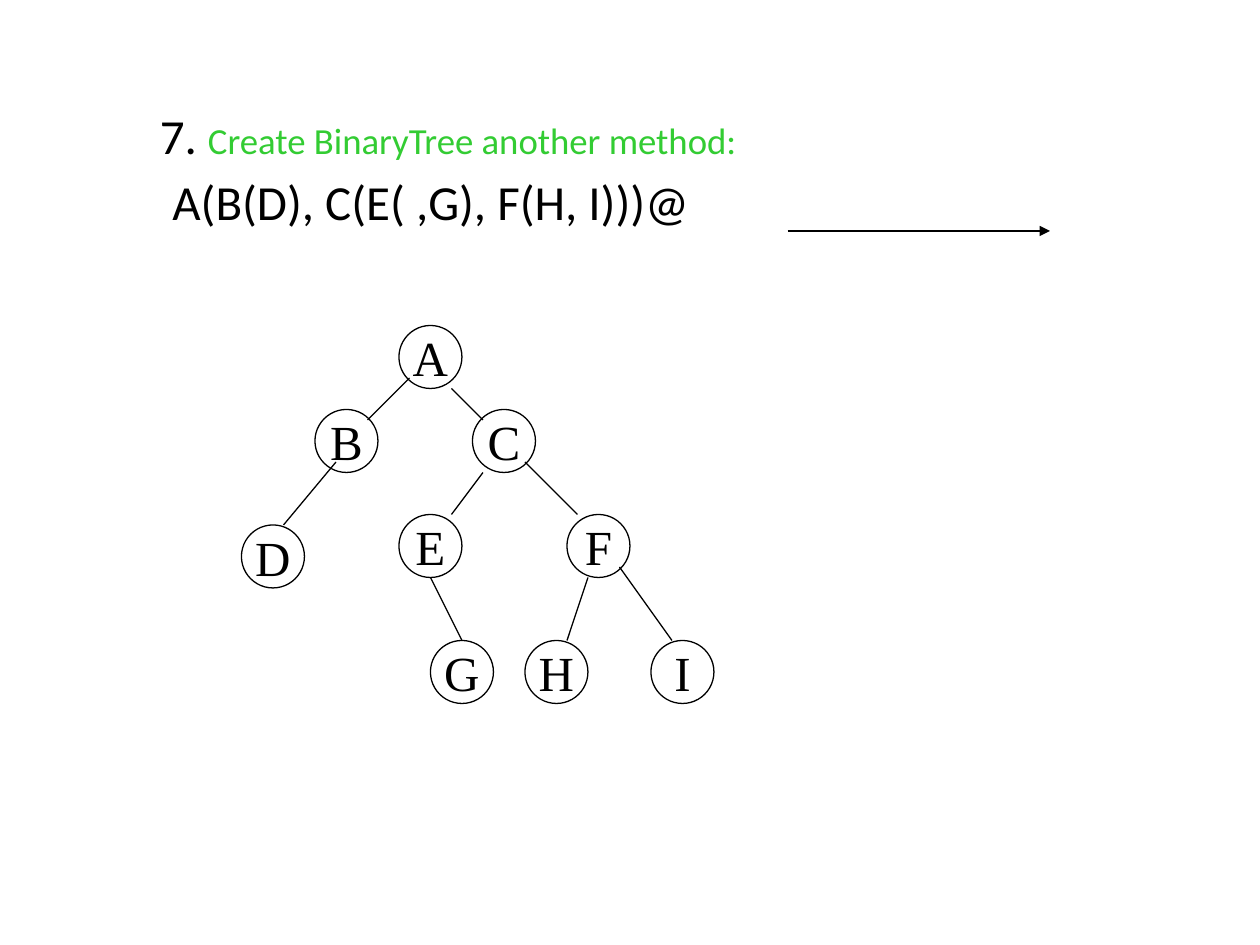
from lxml import etree
from pptx import Presentation
from pptx.dml.color import RGBColor
from pptx.enum.shapes import MSO_CONNECTOR as CONNECTOR, MSO_SHAPE as SHAPE
from pptx.enum.text import MSO_ANCHOR as ANCHOR, PP_ALIGN as ALIGN
from pptx.oxml.ns import qn
from pptx.util import Inches, Pt

BLACK = RGBColor(0x00, 0x00, 0x00)
GREEN = RGBColor(0x33, 0xCC, 0x33)
WHITE = RGBColor(0xFF, 0xFF, 0xFF)

UNIT = 1 / 12  # grid step in inches
NODE_SIZE = 6  # node diameter in grid steps

# Column and row of each node inside the tree
NODES = {
    "A": (15, 0),
    "B": (7, 8), "C": (22, 8),
    "D": (0, 19), "E": (15, 18), "F": (31, 18),
    "I": (39, 30), "H": (27, 30), "G": (18, 30),
}

# Start and end of each branch inside the tree
BRANCHES = [
    ((16, 5), (12, 9)),    # A-B
    ((9, 13), (4, 19)),    # B-D
    ((20, 6), (23, 9)),    # A-C
    ((23, 14), (20, 18)),  # C-E
    ((27, 13), (32, 18)),  # C-F
    ((18, 24), (21, 30)),  # E-G
    ((33, 24), (31, 30)),  # F-H
    ((36, 23), (41, 30)),  # F-I
]


def grid(steps):
    return Inches(steps * UNIT)


def add_text(paragraph, text, size=28, font="Calibri", color=BLACK):
    run = paragraph.add_run()
    run.text = text
    run.font.size = Pt(size)
    run.font.name = font
    run.font.color.rgb = color


def add_line(shapes, start, end, arrow=False):
    line = shapes.add_connector(CONNECTOR.STRAIGHT, *map(grid, start + end))
    line.line.color.rgb = BLACK
    line.line.width = Pt(0.75)
    properties = line._element.spPr
    if arrow:
        etree.SubElement(properties.find(qn("a:ln")), qn("a:tailEnd"), type="triangle")
    etree.SubElement(properties, qn("a:effectLst"))


def add_heading(slide, left, top, width, height):
    box = slide.shapes.add_textbox(*map(grid, (left, top, width, height)))
    frame = box.text_frame
    frame.word_wrap = True
    frame.margin_top = Inches(0.64)
    title, expression = frame.paragraphs[0], frame.add_paragraph()

    add_text(title, "7. ")
    add_text(title, "Create BinaryTree another method:", size=21, color=GREEN)
    add_text(expression, "A(B(D), C(E( ,G), F(H, I)))@")

    expression.space_before = Pt(7.5)
    for paragraph, indent in ((title, 0.42), (expression, 0.52)):
        paragraph.line_spacing = 0.9
        paragraph._p.get_or_add_pPr().set("marL", str(Inches(indent)))


def add_node(shapes, letter, left, top):
    node = shapes.add_shape(SHAPE.OVAL, *map(grid, (left, top, NODE_SIZE, NODE_SIZE)))
    node.shadow.inherit = False
    node.fill.background()
    node.line.color.rgb = BLACK
    node.line.width = Pt(0.75)
    frame = node.text_frame
    frame.word_wrap = False
    frame.vertical_anchor = ANCHOR.MIDDLE
    frame.paragraphs[0].alignment = ALIGN.CENTER
    add_text(frame.paragraphs[0], letter, font="Times New Roman")


def add_tree(slide, left, top):
    tree = slide.shapes.add_group_shape().shapes
    for letter, (column, row) in NODES.items():
        add_node(tree, letter, left + column, top + row)
    for branch in BRANCHES:
        start, end = ((left + column, top + row) for column, row in branch)
        add_line(tree, start, end)


def main():
    deck = Presentation()
    deck.slide_width, deck.slide_height = Inches(10), Inches(7.5)
    slide = deck.slides.add_slide(deck.slide_layouts[6])
    slide.background.fill.solid()
    slide.background.fill.fore_color.rgb = WHITE

    add_heading(slide, left=9, top=3, width=102, height=78)
    add_tree(slide, left=23, top=31)
    # Arrow beside the expression
    add_line(slide.shapes, (75, 22), (100, 22), arrow=True)
    deck.save("out.pptx")


if __name__ == "__main__":
    main()
